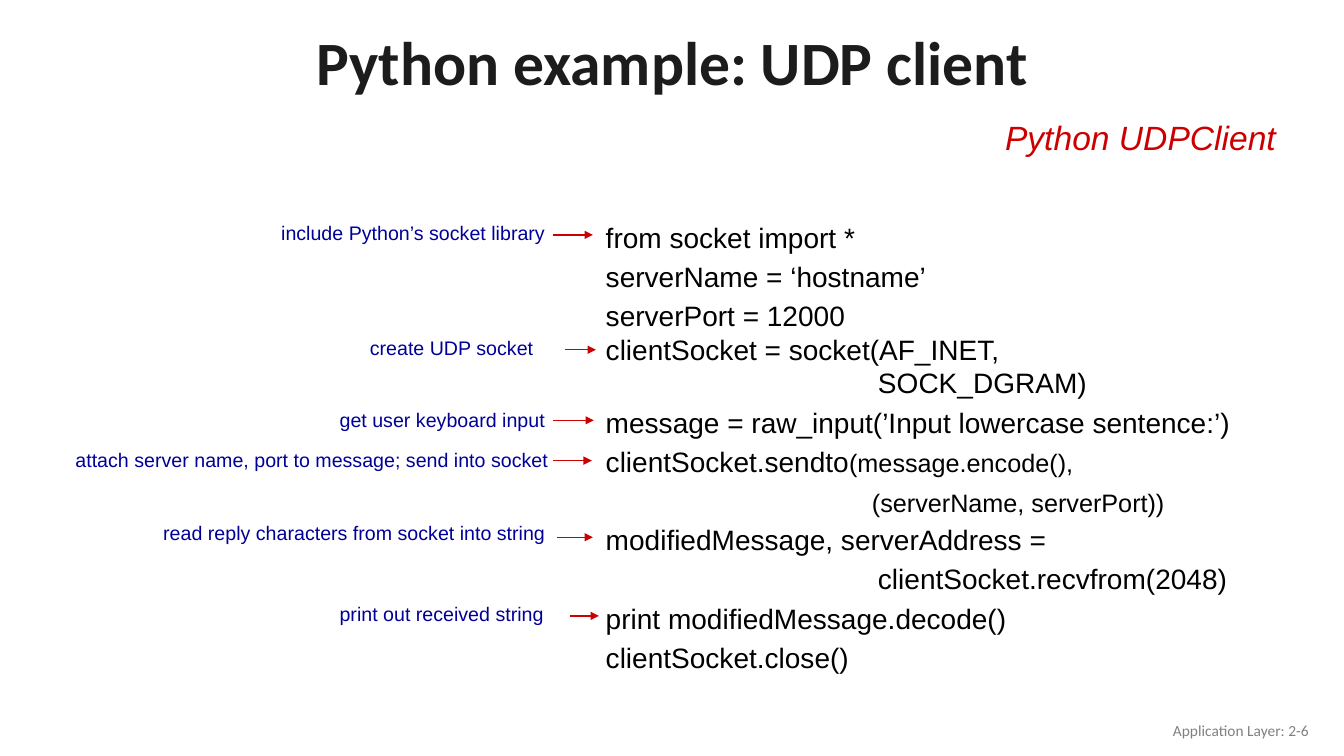
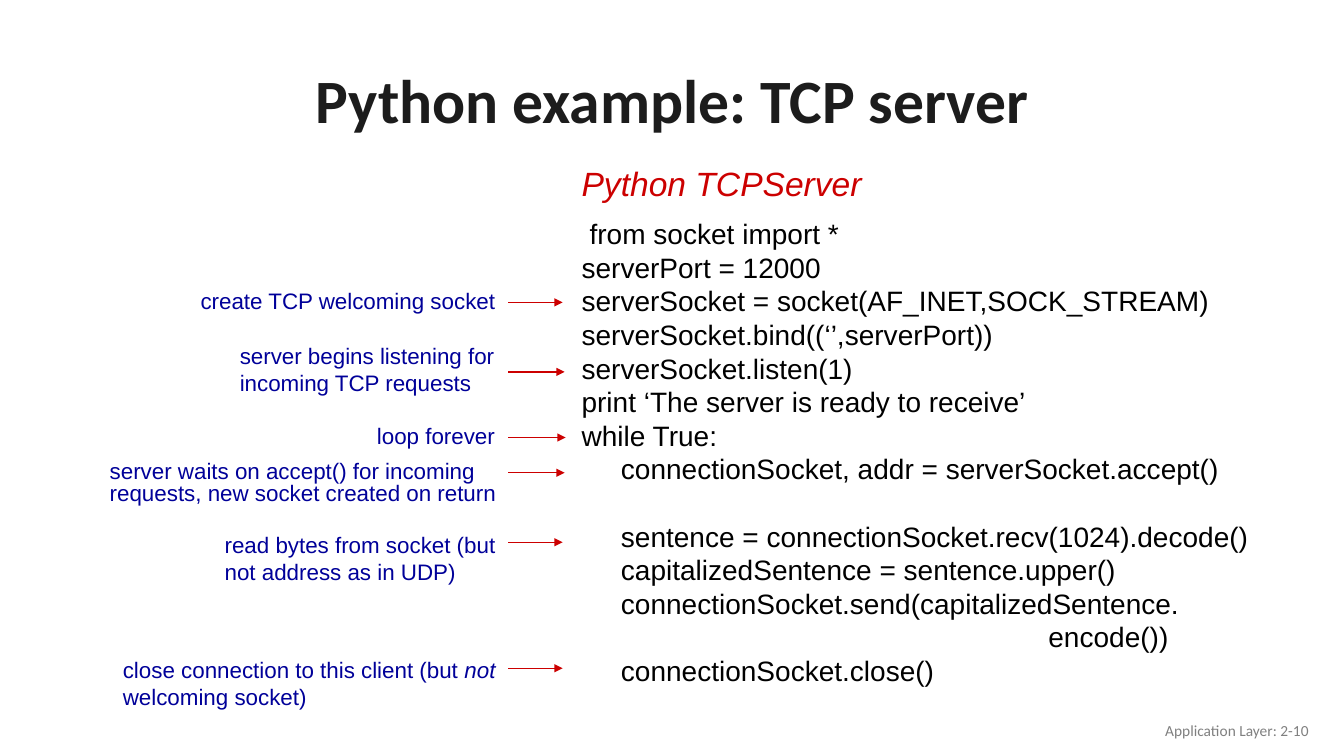
from lxml import etree
from pptx import Presentation
from pptx import util as u
from pptx.dml.color import RGBColor
from pptx.enum import shapes, text
from pptx.oxml import ns

PX = 9144
WIDE, HIGH = 1333, 750
INK, RED, BLUE, DARK, GREY = "000000", "CC0000", "000099", "1C1C1C", "808080"
TITLE = {"name": "Calibri", "size": 44, "bold": True, "color": DARK}
FOOT = {"name": "Calibri", "size": 11, "color": GREY}
HEAD = {"name": "Arial", "size": 24, "italic": True, "color": RED}
CODE = {"name": "Arial", "size": 20, "color": INK}
NOTE = {"name": "Arial", "color": BLUE}
LEFT, MID, RIGHT = text.PP_ALIGN.LEFT, text.PP_ALIGN.CENTER, text.PP_ALIGN.RIGHT


def px(num):
    return u.Emu(num * PX)


def rgb(code):
    return RGBColor.from_string(code)


def style(font, form):
    for key, val in form.items():
        if key == "color":
            font.color.rgb = rgb(val)
        else:
            setattr(font, key, u.Pt(val) if key == "size" else val)


def add_box(slide, x, y, w, h, anchor=text.MSO_ANCHOR.TOP):
    frame = slide.shapes.add_textbox(px(x), px(y), px(w), px(h)).text_frame
    frame.word_wrap = True
    frame.vertical_anchor = anchor
    return frame


def fill(para, runs, form, align=LEFT, lead=None, indent=0, gap=0):
    para.alignment = align
    if lead:
        para.line_spacing = u.Pt(lead)
    if gap:
        para.space_before = u.Pt(gap)
    if indent:
        para._p.get_or_add_pPr().set("marL", str(px(indent)))
    for words, extra in runs:
        run = para.add_run()
        run.text = words
        style(run.font, {**form, **extra})


def add_line(slide, spot, words, form, align=LEFT, anchor=text.MSO_ANCHOR.TOP, lead=None):
    frame = add_box(slide, *spot, anchor)
    runs = [(words, {})] if isinstance(words, str) else words
    fill(frame.paragraphs[0], runs, form, align, lead)


def add_arrow(slide, x, y, end):
    line = slide.shapes.add_connector(
        shapes.MSO_CONNECTOR.STRAIGHT, px(x), px(y), px(end), px(y))
    line.line.color.rgb = rgb(RED)
    line.line.width = u.Pt(1)
    props = line._element.spPr
    tip = etree.SubElement(props.find(ns.qn("a:ln")), ns.qn("a:tailEnd"))
    tip.set("type", "triangle")
    etree.SubElement(props, ns.qn("a:effectLst"))


def add_code(slide, spot, rows):
    frame = add_box(slide, *spot)
    for num, (runs, lead, indent, gap) in enumerate(rows):
        para = frame.add_paragraph() if num else frame.paragraphs[0]
        runs = [(runs, {})] if isinstance(runs, str) else runs
        fill(para, runs, CODE, lead=lead, indent=indent, gap=gap)


def add_notes(slide, size, notes):
    for x, y, w, h, words, lead, start, level, end in notes:
        add_line(slide, (x, y, w, h), words, {**NOTE, "size": size},
                 lead=lead or size * 1.2)
        add_arrow(slide, start, level, end)


def add_page(deck, title, top, head, spot, num):
    slide = deck.slides.add_slide(deck.slide_layouts[6])
    mid = text.MSO_ANCHOR.MIDDLE
    add_line(slide, (92, top, 1150, 98), title, TITLE, MID, mid)
    add_line(slide, spot, head, HEAD, lead=28.8)
    add_line(slide, (1008, 705, 300, 40), f"Application Layer: 2-{num}", FOOT, RIGHT, mid)
    return slide


def add_client(deck):
    slide = add_page(deck, "Python example: UDP client", 11,
                     "Python UDPClient", (987, 111, 310, 51), 6)
    small = {"size": 18}
    add_code(slide, (591, 208, 660, 490), [
        ("from socket import *", 28, 0, 0),
        ("serverName = ‘hostname’", 28, 0, 0),
        ("serverPort = 12000", 28, 0, 0),
        ("clientSocket = socket(AF_INET,", 24, 0, 0),
        ("SOCK_DGRAM)", 24, 270, 0),
        ("message = raw_input(’Input lowercase sentence:’)", 28, 0, 0),
        ([("clientSocket.sendto", {}), ("(message.encode(),", small)], 28, 0, 0),
        ([("(serverName, serverPort))", small)], 28, 264, 0),
        ("modifiedMessage, serverAddress =", 28, 0, 0),
        ("clientSocket.recvfrom(2048)", 28, 270, 0),
        ("print modifiedMessage.decode()", 28, 0, 0),
        ("clientSocket.close()", 28, 0, 0),
    ])
    add_notes(slide, 14, [
        (269, 215, 331, 33, "include Python’s socket library", 16, 548, 233, 588),
        (357, 328, 243, 34, "create UDP socket", None, 560, 347, 591),
        (327, 401, 322, 33, "get user keyboard input", 16, 548, 417, 589),
        (65, 439, 516, 34, "attach server name, port to message; send into socket",
         None, 548, 457, 587),
        (152, 512, 447, 34, "read reply characters from socket into string",
         None, 552, 533, 588),
        (327, 592, 260, 34, "print out received string", None, 565, 611, 594),
    ])


def add_server(deck):
    slide = add_page(deck, "Python example: TCP server", 49,
                     "Python TCPServer", (567, 157, 320, 51), 10)
    rows = [
        ("from socket import *", 8, 0),
        ("serverPort = 12000", 0, 0),
        ("serverSocket = socket(AF_INET,SOCK_STREAM)", 0, 0),
        ("serverSocket.bind((‘’,serverPort))", 0, 0),
        ("serverSocket.listen(1)", 0, 0),
        ("print ‘The server is ready to receive’", 0, 0),
        ("while True:", 0, 0),
        ("connectionSocket, addr = serverSocket.accept()", 39, 0),
        ("sentence = connectionSocket.recv(1024).decode()", 39, 24),
        ("capitalizedSentence = sentence.upper()", 39, 0),
        ("connectionSocket.send(capitalizedSentence.", 39, 0),
        ("encode())", 463, 0),
        ("connectionSocket.close()", 39, 0),
    ]
    add_code(slide, (567, 210, 710, 480),
             [(words, 24, indent, gap) for words, indent, gap in rows])
    start = 504
    close = [("close connection to this client (but ", {}),
             ("not", {"italic": True}), (" welcoming socket)", {})]
    add_notes(slide, 16, [
        (189, 280, 335, 37, "create TCP welcoming socket", None, start, 300, 558),
        (228, 335, 314, 64, "server begins listening for incoming TCP requests",
         None, start, 369, 560),
        (364, 418, 203, 33, "loop forever", 16, start, 434, 561),
        (99, 453, 467, 55,
         "server waits on accept() for incoming requests, new socket created on return",
         16, start, 469, 560),
        (213, 522, 300, 64, "read bytes from socket (but not address as in UDP)",
         None, start, 538, 558),
        (112, 646, 427, 64, close, None, start, 663, 558),
    ])


def main():
    deck = Presentation()
    deck.slide_width, deck.slide_height = px(WIDE), px(HIGH)
    add_client(deck)
    add_server(deck)
    deck.save("out.pptx")


if __name__ == "__main__":
    main()
